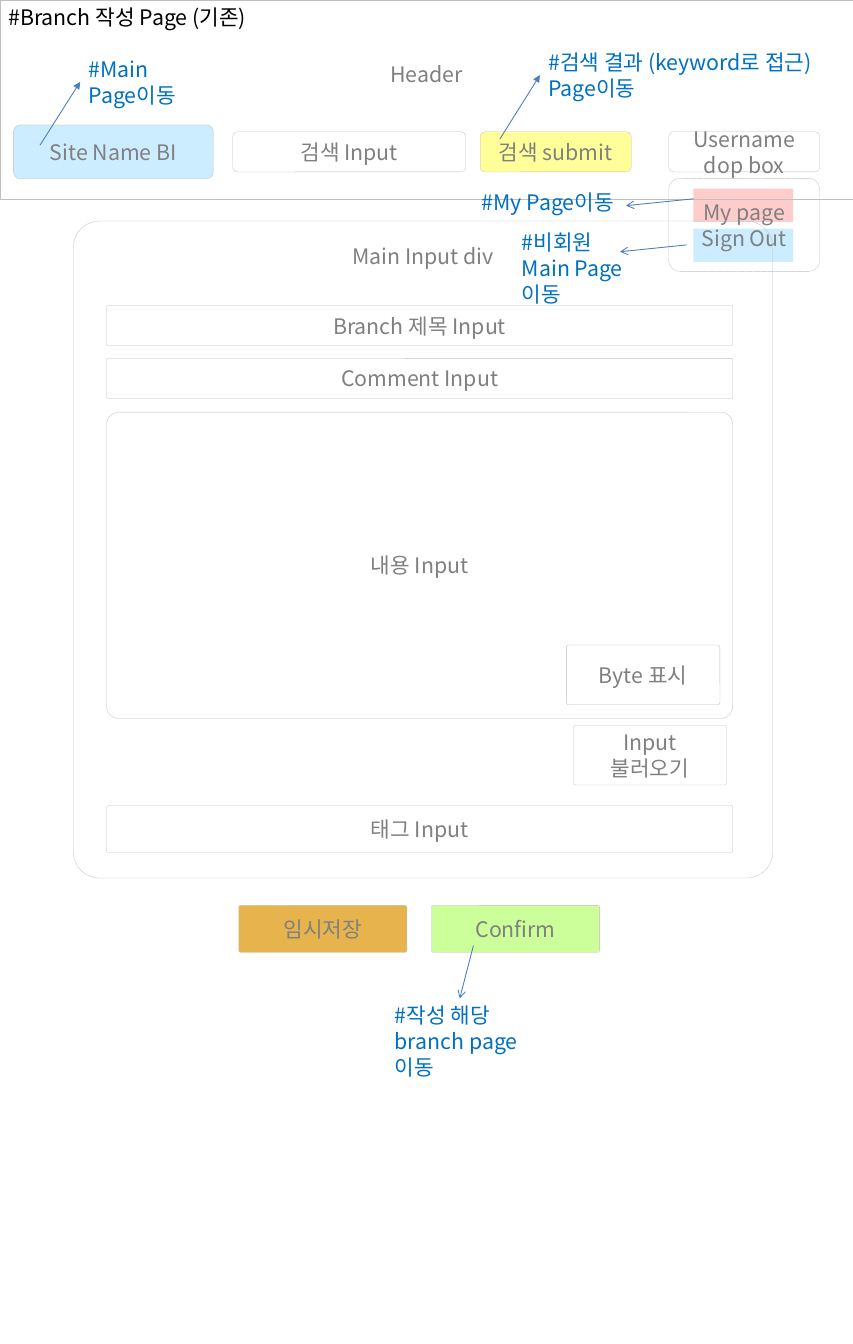
from lxml import etree
from pptx import Presentation
from pptx.dml.color import RGBColor
from pptx.enum.dml import MSO_LINE
from pptx.enum.shapes import MSO_CONNECTOR, MSO_SHAPE
from pptx.enum.text import MSO_ANCHOR, PP_ALIGN
from pptx.oxml.ns import qn
from pptx.util import Inches, Pt

RECT, ROUNDED = MSO_SHAPE.RECTANGLE, MSO_SHAPE.ROUNDED_RECTANGLE
STRAIGHT = MSO_CONNECTOR.STRAIGHT
TOP, MIDDLE = MSO_ANCHOR.TOP, MSO_ANCHOR.MIDDLE
LEFT, CENTER = PP_ALIGN.LEFT, PP_ALIGN.CENTER
DASH = MSO_LINE.SQUARE_DOT

THEME = {
    "font": "Noto Sans CJK KR", "size": 18,
    "title": "000000", "label": "808080", "note": "0070C0",
    "border": "BFBFBF", "border_width": 0.25,
    "arrow": "4B7EBC", "arrow_width": 0.75,
    "blue": "CCECFF", "pink": "FFCCCC", "yellow": "FFFF99",
    "orange": "E6B34C", "green": "CCFF99",
}

TITLE = ("#Branch 작성 Page (기존)", 0, 0, 3.12, 0.4)

MENU_LEFT, MENU_WIDTH = 7.84, 1.77
MENU_HIGHLIGHTS = [("blue", 2.68), ("pink", 2.21)]

HEADER = ("Header", 0, 0, 10, 2.33)
HEADER_TEXT_TOP = 0.72
HEADER_RADIUS = 0.12
BAR_MIDDLE = 1.78
HEADER_BAR = [
    ("Site Name BI", 0.16, 2.34, 0.63, "blue"),
    ("검색 Input", 2.73, 2.73, 0.47, None),
    ("검색 submit", 5.63, 1.77, 0.47, "yellow"),
    ("Username dop box", MENU_LEFT, MENU_WIDTH, 0.47, None),
]
USER_MENU = ("My page\nSign Out", MENU_LEFT, 2.09, MENU_WIDTH, 1.09)

FORM = ("Main Input div", 0.86, 2.59, 8.2, 7.7)
FORM_TEXT_TOP = 0.17
FORM_RADIUS = 0.04
FIELD_LEFT, FIELD_WIDTH = 1.25, 7.34
FIELDS = [
    ("Branch 제목 Input", 3.58, 0.47),
    ("Comment Input", 4.2, 0.47),
    ("내용 Input", 4.83, 3.59),
    ("태그 Input", 9.44, 0.55),
]
SIDE_BOXES = [("Byte 표시", 6.64, 7.56), ("Input\n불러오기", 6.72, 8.5)]
BUTTONS = [("임시저장", 2.8, "orange"), ("Confirm", 5.06, "green")]

NOTES = [
    ("#Main Page이동", 0.94, 0.61, 1.25, 0.71),
    ("#검색 결과 (keyword로 접근) Page이동", 6.33, 0.53, 3.67, 0.71),
    ("#My Page이동", 5.55, 2.17, 3.67, 0.4),
    ("#비회원\nMain Page\n이동", 6.02, 2.64, 1.95, 1.01),
    ("#작성 해당 branch page 이동", 4.53, 11.7, 1.95, 1.01),
]
ARROWS = [
    (0.47, 1.7, 0.94, 0.96, "triangle"),
    (5.86, 1.63, 6.33, 0.88, "triangle"),
    (8.13, 2.33, 7.34, 2.41, "arrow"),
    (8.05, 2.87, 7.27, 2.95, "arrow"),
    (5.55, 11.08, 5.39, 11.7, "arrow"),
]


def color(name):
    return RGBColor.from_string(THEME[name])


def write(shape, words, ink, align, anchor):
    frame = shape.text_frame
    frame.text = words
    frame.word_wrap = True
    frame.vertical_anchor = anchor
    for paragraph in frame.paragraphs:
        paragraph.alignment = align
        for run in paragraph.runs:
            run.font.name = THEME["font"]
            run.font.size = Pt(THEME["size"])
            run.font.color.rgb = color(ink)
            east_asian = etree.SubElement(run.font._element, qn("a:ea"))
            east_asian.set("typeface", THEME["font"])


def add_box(slide, words, x, y, width, height, fill=None, radius=None,
            border=True, text_top=None):
    box = slide.shapes.add_shape(RECT if radius is None else ROUNDED,
                                 *map(Inches, (x, y, width, height)))
    box.shadow.inherit = False
    if radius is not None:
        box.adjustments[0] = radius
    if fill:
        box.fill.solid()
        box.fill.fore_color.rgb = color(fill)
    else:
        box.fill.background()
    if border:
        box.line.color.rgb = color("border")
        box.line.width = Pt(THEME["border_width"])
    else:
        box.line.fill.background()
    if words:
        write(box, words, "label", CENTER, MIDDLE if text_top is None else TOP)
    if text_top is not None:
        box.text_frame.margin_top = Inches(text_top)
    return box


def add_text(slide, words, x, y, width, height, ink):
    box = slide.shapes.add_textbox(*map(Inches, (x, y, width, height)))
    write(box, words, ink, LEFT, TOP)


def add_arrow(slide, x1, y1, x2, y2, head):
    arrow = slide.shapes.add_connector(STRAIGHT, *map(Inches, (x1, y1, x2, y2)))
    arrow.line.color.rgb = color("arrow")
    arrow.line.width = Pt(THEME["arrow_width"])
    etree.SubElement(arrow.line._get_or_add_ln(), qn("a:tailEnd")).set("type", head)
    etree.SubElement(arrow._element.spPr, qn("a:effectLst"))


def main():
    deck = Presentation()
    deck.slide_width, deck.slide_height = Inches(10), Inches(15.75)
    slide = deck.slides.add_slide(deck.slide_layouts[6])

    for fill, y in MENU_HIGHLIGHTS:
        add_box(slide, "", 8.13, y, 1.17, 0.39, fill, border=False)
    add_text(slide, *TITLE, "title")

    add_box(slide, *HEADER, text_top=HEADER_TEXT_TOP)
    for words, x, width, height, fill in HEADER_BAR:
        add_box(slide, words, x, BAR_MIDDLE - height / 2, width, height, fill,
                HEADER_RADIUS)
    menu = add_box(slide, *USER_MENU, radius=HEADER_RADIUS)
    menu.line.dash_style = DASH

    add_box(slide, *FORM, radius=FORM_RADIUS, text_top=FORM_TEXT_TOP)
    for words, y, height in FIELDS:
        add_box(slide, words, FIELD_LEFT, y, FIELD_WIDTH, height, radius=FORM_RADIUS)
    for words, x, y in SIDE_BOXES:
        add_box(slide, words, x, y, 1.8, 0.7, radius=FORM_RADIUS)
    for words, x, fill in BUTTONS:
        add_box(slide, words, x, 10.61, 1.97, 0.55, fill, FORM_RADIUS)

    for note in NOTES:
        add_text(slide, *note, "note")
    for arrow in ARROWS:
        add_arrow(slide, *arrow)

    deck.save("out.pptx")


if __name__ == "__main__":
    main()
